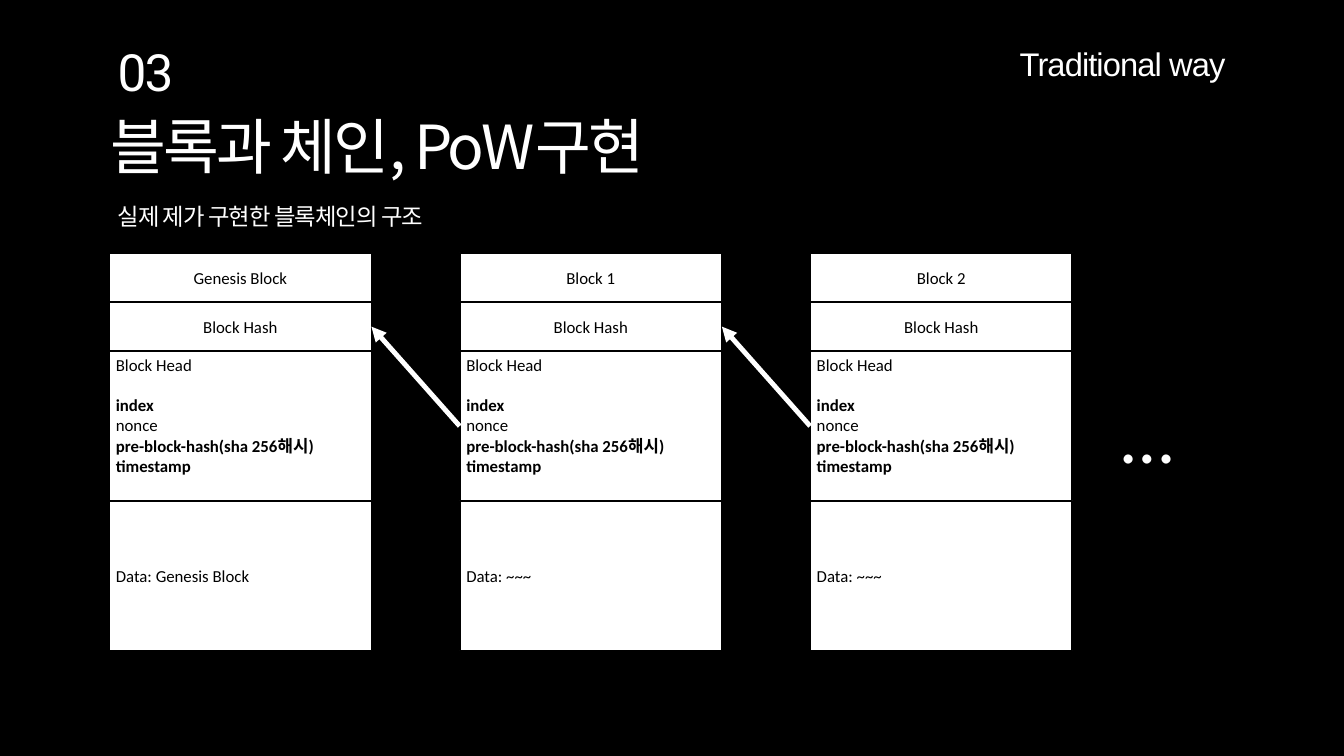
from lxml import etree
from pptx import Presentation
from pptx.dml.color import RGBColor
from pptx.enum.shapes import MSO_CONNECTOR, MSO_SHAPE
from pptx.enum.text import MSO_ANCHOR, MSO_AUTO_SIZE, PP_ALIGN
from pptx.oxml.ns import qn
from pptx.util import Pt

LEFT, CENTER, RIGHT = PP_ALIGN.LEFT, PP_ALIGN.CENTER, PP_ALIGN.RIGHT
TOP, MIDDLE = MSO_ANCHOR.TOP, MSO_ANCHOR.MIDDLE
GROW, FIXED = MSO_AUTO_SIZE.SHAPE_TO_FIT_TEXT, MSO_AUTO_SIZE.NONE
RECTANGLE, STRAIGHT = MSO_SHAPE.RECTANGLE, MSO_CONNECTOR.STRAIGHT
TITLE_ONLY = 5
KOREAN = "Noto Sans CJK KR"
BLACK, WHITE = "000000", "FFFFFF"

BLOCK_LEFT, BLOCK_TOP, BLOCK_WIDTH, BLOCK_PITCH = 117, 271, 281, 375.5
SHORT, TALL = 52.5, 160.5
POINTER_START, POINTER_END = 456.5, 350

BLOCKS = [
    ("Genesis Block", "Data: Genesis Block"),
    ("Block 1", "Data: ~~~"),
    ("Block 2", "Data: ~~~"),
]
HEAD_FIELDS = [
    ("index", True),
    ("nonce", False),
    ("pre-block-hash(sha 256해시)", True),
    ("timestamp", True),
]


def color(value):
    return RGBColor.from_string(value)


def write(para, text, font="Calibri", size=18, fill=BLACK, bold=False,
          spacing=0, align=LEFT, after=0):
    para.alignment = align
    para.space_before = Pt(0)
    para.space_after = Pt(after)
    para.line_spacing = 1.0
    span = para.add_run()
    span.text = text
    span.font.name = font
    span.font.size = Pt(size)
    span.font.bold = bold
    span.font.color.rgb = color(fill)
    properties = span.font._element
    properties.set("spc", str(spacing * 100))
    etree.SubElement(properties, qn("a:ea"), typeface=KOREAN)


class Page:
    def __init__(self, deck):
        self.slide = deck.slides.add_slide(deck.slide_layouts[TITLE_ONLY])
        background = self.slide.background.fill
        background.solid()
        background.fore_color.rgb = color(BLACK)

    def title(self, place, text, **style):
        box = self.slide.shapes.title
        box.left, box.top, box.width, box.height = map(Pt, place)
        frame = box.text_frame
        frame.vertical_anchor = TOP
        frame.auto_size = FIXED
        write(frame.paragraphs[0], text, fill=WHITE, **style)

    def label(self, place, text, **style):
        box = self.slide.shapes.add_textbox(*map(Pt, place))
        frame = box.text_frame
        frame.word_wrap = True
        frame.auto_size = GROW
        write(frame.paragraphs[0], text, fill=WHITE, **style)

    def cell(self, place, lines, anchor=MIDDLE):
        box = self.slide.shapes.add_shape(RECTANGLE, *map(Pt, place))
        box.shadow.inherit = False
        box.fill.solid()
        box.fill.fore_color.rgb = color(WHITE)
        box.line.color.rgb = color(BLACK)
        box.line.width = Pt(2)
        frame = box.text_frame
        frame.vertical_anchor = anchor
        for index, (text, style) in enumerate(lines):
            para = frame.add_paragraph() if index else frame.paragraphs[0]
            write(para, text, **style)

    def block(self, left, name, data):
        head = [("Block Head", {"after": 22})]
        head += [(text, {"bold": bold}) for text, bold in HEAD_FIELDS]
        rows = [
            (SHORT, [(name, {"align": CENTER})], MIDDLE),
            (SHORT, [("Block Hash", {"align": CENTER})], MIDDLE),
            (TALL, head, TOP),
            (TALL, [(data, {})], MIDDLE),
        ]
        top = BLOCK_TOP
        for height, lines, anchor in rows:
            self.cell((left, top, BLOCK_WIDTH, height), lines, anchor)
            top += height

    def arrow(self, *ends):
        arrow = self.slide.shapes.add_connector(STRAIGHT, *map(Pt, ends))
        arrow.line.color.rgb = color(WHITE)
        arrow.line.width = Pt(5.25)
        etree.SubElement(arrow.line._get_or_add_ln(), qn("a:tailEnd"), type="triangle")
        etree.SubElement(arrow._element.spPr, qn("a:effectLst"))


def main():
    deck = Presentation()
    deck.slide_width, deck.slide_height = Pt(1440), Pt(810)
    page = Page(deck)

    page.title((111, 112.5, 721.5, 85.5), "블록과 체인, PoW구현",
               font=KOREAN, size=65, spacing=-3)
    page.label((119, 213, 899, 37.5), "실제 제가 구현한 블록체인의 구조",
               font="Arial", size=25, spacing=-1)
    page.label((119, 39.5, 101, 74), "03", font="Roboto", size=55, spacing=-2)
    page.label((969, 43, 351, 50), "Traditional way",
               font="Arial", size=35, spacing=-1, align=RIGHT)

    lefts = [BLOCK_LEFT + BLOCK_PITCH * index for index in range(len(BLOCKS))]
    for left, (name, data) in zip(lefts, BLOCKS):
        page.block(left, name, data)
    for previous, current in zip(lefts, lefts[1:]):
        page.arrow(current, POINTER_START, previous + BLOCK_WIDTH, POINTER_END)

    page.label((1194, 412.5, 146, 105), "…", size=81)
    deck.save("out.pptx")


if __name__ == "__main__":
    main()
